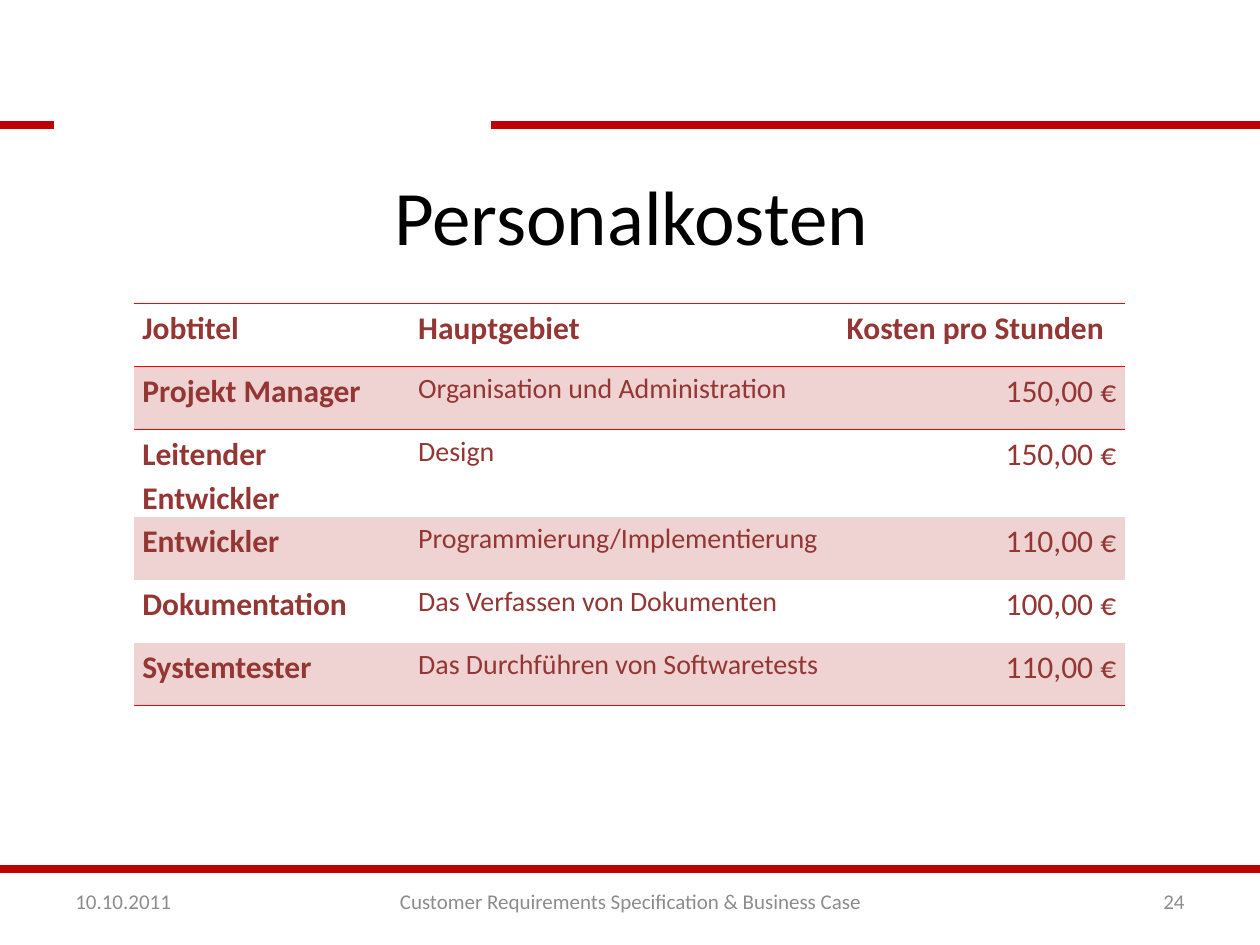
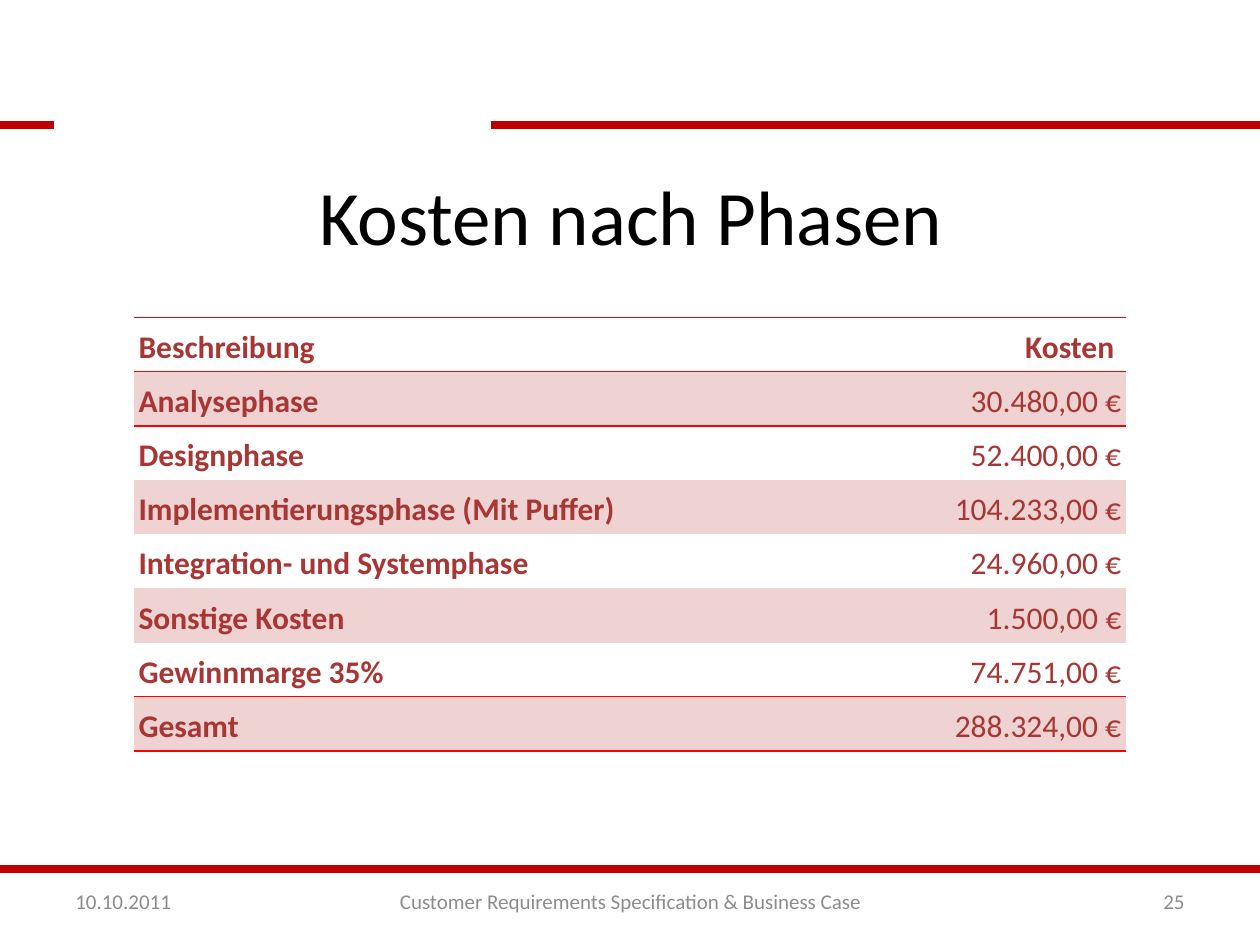
from dataclasses import dataclass

import pptx
import pptx.dml.color
import pptx.enum.shapes
import pptx.enum.text
import pptx.oxml
import pptx.oxml.ns
import pptx.util
from lxml import etree

Inches = pptx.util.Inches
Pt = pptx.util.Pt
Align = pptx.enum.text.PP_ALIGN
Anchor = pptx.enum.text.MSO_ANCHOR
qn = pptx.oxml.ns.qn


@dataclass(frozen=True)
class Theme:
    font: str = "Calibri"
    ink: str = "000000"
    grey: str = "8C8C8C"
    bar: str = "C00000"
    rule: str = "FF0000"
    band: str = "EFD3D2"
    staff: str = "943634"
    phase: str = "A73634"
    title: int = 44
    cell: int = 18
    small: int = 16
    foot: int = 12
    thick: float = 4.5
    thin: float = 1
    grid: str = "{2D5ABB26-0587-4C30-8999-92F81FD0307C}"  # no style, no grid


def rgb(code):
    return pptx.dml.color.RGBColor.from_string(code)


class Deck:
    def __init__(self, theme):
        self.theme = theme
        self.prs = pptx.Presentation()
        self.prs.slide_width = Inches(10)
        self.prs.slide_height = Inches(7.5)
        self.slide = None

    def start(self, title, page):
        """Add a slide with its bars, footer and title."""
        look = self.theme
        self.slide = self.prs.slides.add_slide(self.prs.slide_layouts[6])
        for left, right, top in ((0, 10, 6.9), (0, 0.43, 0.99), (3.9, 10, 0.99)):
            self.line(left, right, top)
        for text, left, width, align in (
            ("10.10.2011", 0.5, 2.33, Align.LEFT),
            ("Customer Requirements Specification & Business Case",
             2.66, 4.69, Align.CENTER),
            (str(page), 7.17, 2.33, Align.RIGHT),
        ):
            self.text(text, (left, 6.95, width, 0.4), look.foot, look.grey, align)
        self.text(title, (0.51, 1.08, 9, 1.25), look.title, look.ink, Align.CENTER)

    def line(self, left, right, top):
        line = self.slide.shapes.add_connector(
            pptx.enum.shapes.MSO_CONNECTOR.STRAIGHT,
            Inches(left), Inches(top), Inches(right), Inches(top))
        line.line.color.rgb = rgb(self.theme.bar)
        line.line.width = Pt(self.theme.thick)
        etree.SubElement(line._element.spPr, qn("a:effectLst"))

    def run(self, para, text, size, color, bold=False):
        run = para.add_run()
        run.text = text
        run.font.name = self.theme.font
        run.font.size = Pt(size)
        run.font.bold = bold
        run.font.color.rgb = rgb(color)

    def text(self, text, box, size, color, align):
        frame = self.slide.shapes.add_textbox(*map(Inches, box)).text_frame
        frame.word_wrap = True
        frame.vertical_anchor = Anchor.MIDDLE
        para = frame.paragraphs[0]
        para.alignment = align
        self.run(para, text, size, color)

    def edge(self, cell, side):
        """Draw a thin rule on one side of a cell: lnT or lnB."""
        line = etree.SubElement(cell._tc.get_or_add_tcPr(), qn("a:" + side),
                                w=str(Pt(self.theme.thin)))
        fill = etree.SubElement(line, qn("a:solidFill"))
        etree.SubElement(fill, qn("a:srgbClr"), val=self.theme.rule)

    def table(self, rows, top, cols, high, pad, color, rules, head):
        """Fill a banded table; rules lists the row edges that carry a line,
        head is the alignment of the last heading."""
        look = self.theme
        frame = self.slide.shapes.add_table(
            len(rows), len(cols), Inches(1.06), Inches(top),
            Inches(sum(cols)), Inches(high * len(rows)))
        table = frame.table
        table._tbl.tblPr.find(qn("a:tableStyleId")).text = look.grid
        table.first_row = table.horz_banding = False
        for col, width in zip(table.columns, cols):
            col.width = Inches(width)
        last = len(cols) - 1
        for r, row in enumerate(rows):
            table.rows[r].height = Inches(high)
            for c, text in enumerate(row):
                cell = table.cell(r, c)
                cell.margin_left = cell.margin_right = Inches(pad[0])
                cell.margin_top = cell.margin_bottom = Inches(pad[1])
                if r in rules:
                    self.edge(cell, "lnT")
                if r + 1 in rules:
                    self.edge(cell, "lnB")
                if r % 2:
                    cell.fill.solid()
                    cell.fill.fore_color.rgb = rgb(look.band)
                else:
                    cell.fill.background()
                para = cell.text_frame.paragraphs[0]
                para.line_spacing = 1.15
                if c == last:
                    para.alignment = Align.RIGHT if r else head
                size = look.small if r and 0 < c < last else look.cell
                self.run(para, text, size, color, r == 0 or c == 0)


STAFF = [
    ("Jobtitel", "Hauptgebiet", "Kosten pro Stunden"),
    ("Projekt Manager", "Organisation und Administration", "150,00 €"),
    ("Leitender Entwickler", "Design", "150,00 €"),
    ("Entwickler", "Programmierung/Implementierung", "110,00 €"),
    ("Dokumentation", "Das Verfassen von Dokumenten", "100,00 €"),
    ("Systemtester", "Das Durchführen von Softwaretests", "110,00 €"),
]

PHASES = [
    ("Beschreibung", "Kosten "),
    ("Analysephase", "30.480,00 €"),
    ("Designphase", "52.400,00 €"),
    ("Implementierungsphase (Mit Puffer)", "104.233,00 €"),
    ("Integration- und Systemphase", "24.960,00 €"),
    ("Sonstige Kosten", "1.500,00 €"),
    ("Gewinnmarge 35%", "74.751,00 €"),
    ("Gesamt", "288.324,00 €"),
]


def main():
    theme = Theme()
    deck = Deck(theme)
    deck.start("Personalkosten", 24)
    deck.table(STAFF, top=2.41, cols=(2.19, 3.4, 2.28), high=0.5, pad=(0.07, 0),
               color=theme.staff, rules=(0, 1, 6), head=Align.LEFT)
    deck.start("Kosten nach Phasen", 25)
    deck.table(PHASES, top=2.52, cols=(4.57, 3.31), high=0.43, pad=(0.04, 0.04),
               color=theme.phase, rules=(0, 1, 7, 8), head=Align.RIGHT)
    deck.prs.save("out.pptx")


if __name__ == "__main__":
    main()
